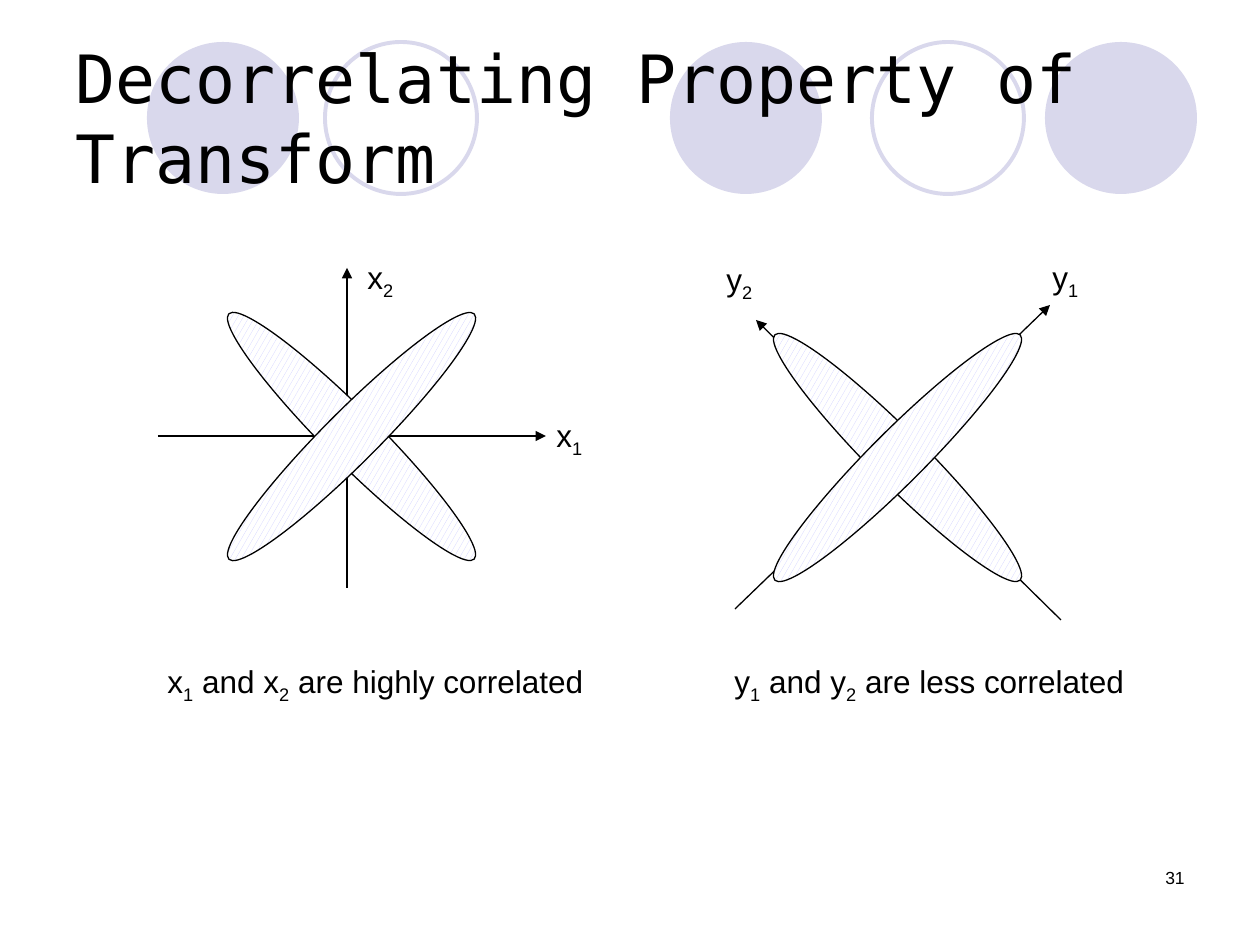
from pptx import Presentation
from pptx.dml.color import RGBColor
from pptx.enum.dml import MSO_PATTERN
from pptx.enum.shapes import MSO_CONNECTOR, MSO_SHAPE
from pptx.enum.text import MSO_ANCHOR, MSO_AUTO_SIZE as AutoSize, PP_ALIGN as Align
from pptx.oxml.ns import qn
from pptx.util import Emu, Pt
from lxml.etree import SubElement

EMU_PER_PX = 914400 / 126


def px(length):
    return Emu(round(length * EMU_PER_PX))


def color(value):
    return RGBColor.from_string(value)


def write(frame, text, font="Arial", size=18, ink="000000", align=Align.LEFT):
    """Write one paragraph; the character after each "_" is a subscript."""
    para = frame.paragraphs[0]
    para.alignment = align
    head, *tails = text.split("_")
    pieces = [(head, False)]
    for tail in tails:
        pieces += [(tail[:1], True), (tail[1:], False)]
    for piece, lowered in pieces:
        if not piece:
            continue
        span = para.add_run()
        span.text = piece
        span.font.name = font
        span.font.size = Pt(size)
        span.font.color.rgb = color(ink)
        if lowered:
            span._r.get_or_add_rPr().set("baseline", "-25000")


class SlideBuilder:
    ink = "000000"
    lilac = "D9D8EC"
    hatch = "CCCCFF"
    paper = "FFFFFF"
    thin = 0.75

    def __init__(self, page):
        self.page = page
        self.shapes = page.shapes

    def ellipse(self, left, top, width, height):
        shape = self.shapes.add_shape(
            MSO_SHAPE.OVAL, px(left), px(top), px(width), px(height))
        shape.shadow.inherit = False
        return shape

    def circle(self, left, filled):
        shape = self.ellipse(left, 42, 152, 152)
        if filled:
            shape.fill.solid()
            shape.fill.fore_color.rgb = color(self.lilac)
            shape.line.fill.background()
        else:
            shape.fill.background()
            shape.line.color.rgb = color(self.lilac)
            shape.line.width = Pt(2.25)

    def cloud(self, left, top, angle):
        shape = self.ellipse(left, top, 347, 53)
        shape.rotation = angle
        shape.fill.patterned()
        shape.fill.pattern = MSO_PATTERN.LARGE_CONFETTI
        shape.fill.fore_color.rgb = color(self.hatch)
        shape.fill.back_color.rgb = color(self.paper)
        shape.line.color.rgb = color(self.ink)
        shape.line.width = Pt(self.thin)

    def arrow(self, *ends):
        line = self.shapes.add_connector(
            MSO_CONNECTOR.STRAIGHT, *[px(end) for end in ends])
        line.line.color.rgb = color(self.ink)
        line.line.width = Pt(self.thin)
        SubElement(line.line._get_or_add_ln(), qn("a:tailEnd"), type="triangle")
        SubElement(line._element.spPr, qn("a:effectLst"))

    def title(self, text):
        box = self.shapes.title
        box.left, box.top, box.width, box.height = map(px, (63, 38, 1134, 158))
        frame = box.text_frame
        frame.auto_size = AutoSize.NONE
        frame.vertical_anchor = MSO_ANCHOR.MIDDLE
        write(frame, text, font="DejaVu Sans Mono", size=38)
        # Bring the title in front of the circles
        self.shapes._spTree.append(box._element)

    def label(self, text, left, top, width=53):
        box = self.shapes.add_textbox(px(left), px(top), px(width), px(50))
        box.text_frame.word_wrap = False
        box.text_frame.auto_size = AutoSize.SHAPE_TO_FIT_TEXT
        write(box.text_frame, text)

    def page_number(self, text):
        box = self.shapes.add_textbox(px(903), px(861), px(294), px(63))
        box.text_frame.word_wrap = True
        write(box.text_frame, text, size=10, align=Align.RIGHT)


def main():
    deck = Presentation()
    deck.slide_width, deck.slide_height = px(1260), px(945)
    builder = SlideBuilder(deck.slides.add_slide(deck.slide_layouts[5]))

    # Header circles, page number and title
    for left, filled in ((670, True), (1045, True), (147, True),
                         (872, False), (325, False)):
        builder.circle(left, filled)
    builder.page_number("31")
    builder.title("Decorrelating Property of Transform")

    # Axes: x pair, then the rotated y pair
    for ends in ((158, 436, 546, 436), (347, 588, 347, 268),
                 (735, 609, 1050, 305), (1061, 620, 756, 320)):
        builder.arrow(*ends)
    for text, left, top in (("x_1", 544, 410), ("x_2", 355, 252),
                            ("y_1", 1040, 252), ("y_2", 714, 254)):
        builder.label(text, left, top)

    # Crossed sample clouds
    for left, top in ((178, 410), (724, 431)):
        for angle in (45, 135):
            builder.cloud(left, top, angle)

    # Captions
    builder.label("x_1 and x_2 are highly correlated", 155, 656, 452)
    builder.label("y_1 and y_2 are less correlated", 722, 656, 427)

    deck.save("out.pptx")


if __name__ == "__main__":
    main()
